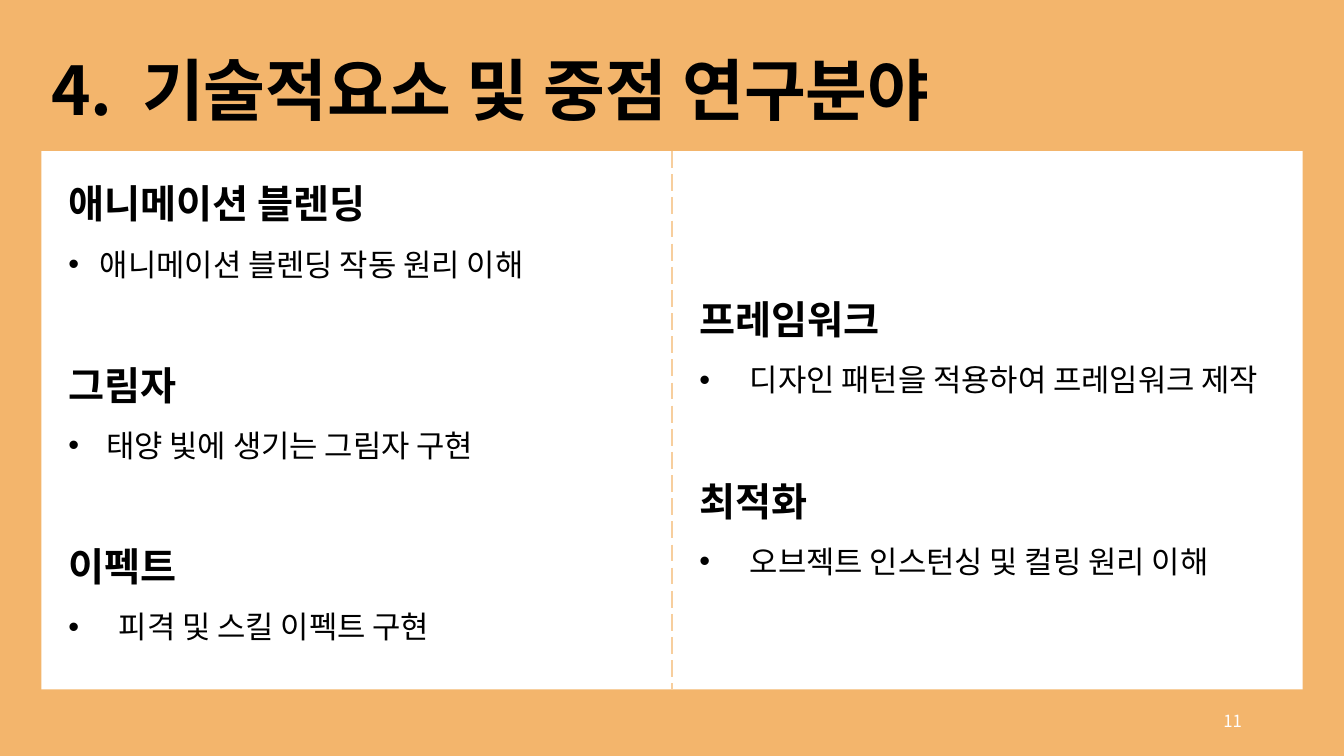
from lxml import etree
from pptx import Presentation
from pptx.dml.color import RGBColor
from pptx.enum.dml import MSO_LINE
from pptx.enum.shapes import MSO_CONNECTOR, MSO_SHAPE
from pptx.enum.text import MSO_ANCHOR, PP_ALIGN
from pptx.oxml.ns import qn
from pptx.util import Pt

ORANGE = RGBColor(0xF3, 0xB5, 0x6C)
PALE_ORANGE = RGBColor(0xF7, 0xCE, 0x9D)
WHITE = RGBColor(0xFF, 0xFF, 0xFF)
BLACK = RGBColor(0, 0, 0)
FONT = "Noto Sans CJK KR"
RECTANGLE = MSO_SHAPE.RECTANGLE
STRAIGHT = MSO_CONNECTOR.STRAIGHT
LONG_DASH = MSO_LINE.LONG_DASH
MIDDLE = MSO_ANCHOR.MIDDLE
RIGHT = PP_ALIGN.RIGHT

PANEL_LEFT, PANEL_TOP, PANEL_WIDTH, PANEL_HEIGHT = 29.5, 108, 901, 384.5
MIDDLE_X = 480
SECTION_GAP = 39.6


def add_text_box(left, top, width, height):
    box = slide.shapes.add_textbox(Pt(left), Pt(top), Pt(width), Pt(height))
    box.text_frame.word_wrap = True
    return box.text_frame


def style_runs(para, size, color, bold=False):
    for span in para.runs:
        span.font.name = FONT
        span.font.size = Pt(size)
        span.font.bold = bold
        span.font.color.rgb = color
        east_asian = etree.SubElement(span.font._element, qn("a:ea"))
        east_asian.set("typeface", FONT)


deck = Presentation()
deck.slide_width, deck.slide_height = Pt(960), Pt(540)
slide = deck.slides.add_slide(deck.slide_layouts[6])
slide.background.fill.solid()
slide.background.fill.fore_color.rgb = ORANGE

# White panel
panel = slide.shapes.add_shape(RECTANGLE, Pt(PANEL_LEFT), Pt(PANEL_TOP),
                               Pt(PANEL_WIDTH), Pt(PANEL_HEIGHT))
panel.shadow.inherit = False
panel.fill.solid()
panel.fill.fore_color.rgb = WHITE
panel.line.fill.background()

# Title, with a tab stop after the number
title = add_text_box(PANEL_LEFT, 25.2, 876, 82.8)
title.vertical_anchor = MIDDLE
para = title.paragraphs[0]
para.text = "4.\t기술적요소 및 중점 연구분야"
para.line_spacing = 0.9
tab_list = etree.SubElement(para._p.get_or_add_pPr(), qn("a:tabLst"))
etree.SubElement(tab_list, qn("a:tab"), pos=str(Pt(65)), algn="l")
style_runs(para, 48, BLACK, bold=True)

# Two columns of topics: heading, bullet text, bullet indent
columns = [
    (41.8, 108, 406, [
        ("애니메이션 블렌딩", "애니메이션 블렌딩 작동 원리 이해", 22.5),
        ("그림자", "태양 빛에 생기는 그림자 구현", 27),
        ("이펙트", "피격 및 스킬 이펙트 구현", 36),
    ]),
    (492.5, 190.8, 225.4, [
        ("프레임워크", "디자인 패턴을 적용하여 프레임워크 제작", 36),
        ("최적화", "오브젝트 인스턴싱 및 컬링 원리 이해", 36),
    ]),
]
for left, top, height, topics in columns:
    frame = add_text_box(left, top, 425.5, height)
    for number, (heading, detail, indent) in enumerate(topics):
        para = frame.add_paragraph() if number else frame.paragraphs[0]
        para.text = heading
        para.line_spacing = 1.5
        if number:
            para.space_before = Pt(SECTION_GAP)
        style_runs(para, 28, BLACK, bold=True)

        para = frame.add_paragraph()
        para.text = detail
        para.line_spacing = 1.5
        properties = para._p.get_or_add_pPr()
        properties.set("marL", str(Pt(indent)))
        properties.set("indent", str(-Pt(indent)))
        etree.SubElement(properties, qn("a:buFont"), typeface="Arial")
        etree.SubElement(properties, qn("a:buChar"), char="•")
        style_runs(para, 22, BLACK)

# Page number
page_number = add_text_box(678.2, 500.5, 216, 28.8)
page_number.vertical_anchor = MIDDLE
para = page_number.paragraphs[0]
para.text = "11"
para.alignment = RIGHT
style_runs(para, 12, WHITE)

# Dashed divider
divider = slide.shapes.add_connector(STRAIGHT, Pt(MIDDLE_X), Pt(PANEL_TOP),
                                     Pt(MIDDLE_X), Pt(PANEL_TOP + PANEL_HEIGHT))
divider.line.color.rgb = PALE_ORANGE
divider.line.width = Pt(1.5)
divider.line.dash_style = LONG_DASH
etree.SubElement(divider._element.spPr, qn("a:effectLst"))

deck.save("out.pptx")
